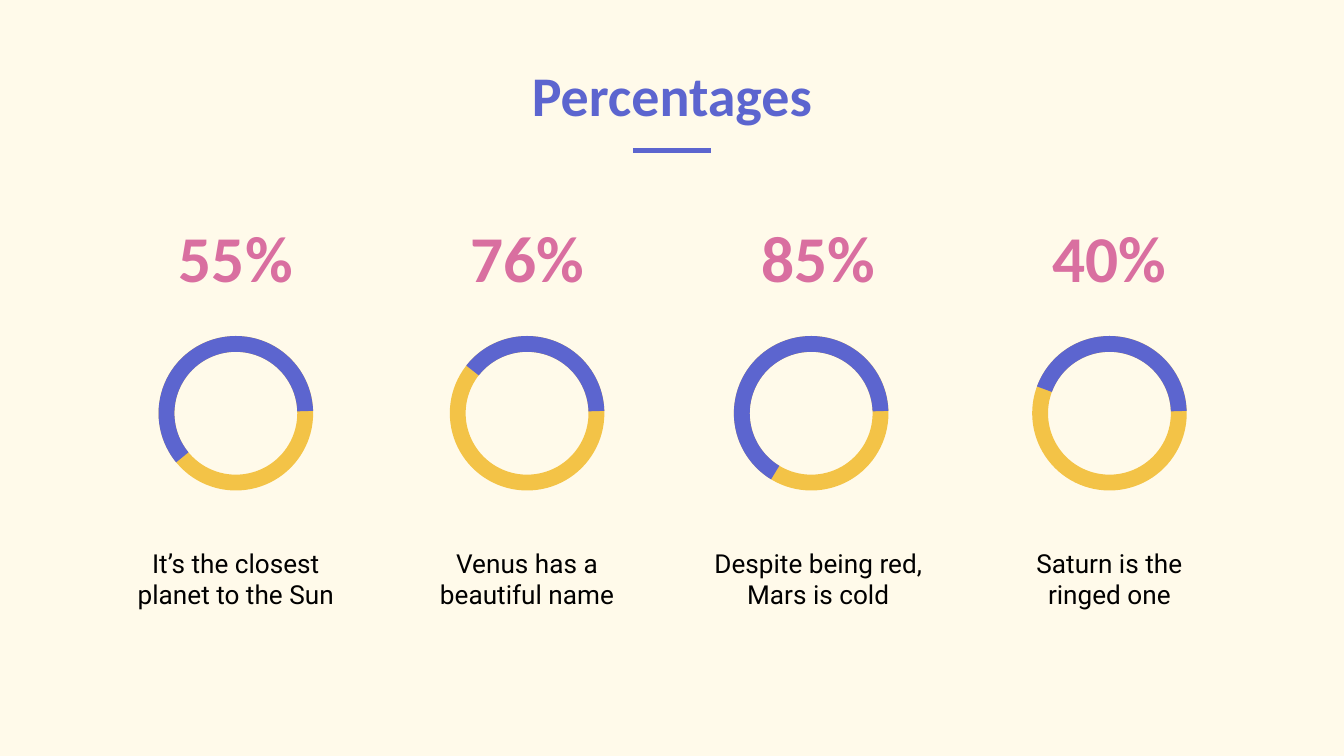
from pptx import Presentation
from pptx.dml.color import RGBColor
from pptx.enum.shapes import MSO_CONNECTOR, MSO_SHAPE
from pptx.enum.text import MSO_ANCHOR, MSO_AUTO_SIZE, PP_ALIGN
from pptx.oxml.ns import qn
from pptx.util import Pt

STRAIGHT = MSO_CONNECTOR.STRAIGHT
DONUT, BLOCK_ARC = MSO_SHAPE.DONUT, MSO_SHAPE.BLOCK_ARC
TOP, BOTTOM = MSO_ANCHOR.TOP, MSO_ANCHOR.BOTTOM
CENTER = PP_ALIGN.CENTER
NO_AUTOFIT = MSO_AUTO_SIZE.NONE

TITLE = "Percentages"
PLANETS = [
    {"percent": "55%", "caption": ["It’s the closest planet to the Sun"],
     "arc_start": 140.56, "ring_shift": 0},
    {"percent": "76%", "caption": ["Venus has a", "beautiful name"],
     "arc_start": 218.1, "ring_shift": 0},
    {"percent": "85%", "caption": ["Despite being red,", "Mars is cold"],
     "arc_start": 121.25, "ring_shift": -3.8},
    {"percent": "40%", "caption": ["Saturn is the", "ringed one"],
     "arc_start": 200.32, "ring_shift": 0},
]

THEME = {
    "background": RGBColor.from_string("FFFAEA"),
    "blue": RGBColor.from_string("5C65CF"),
    "yellow": RGBColor.from_string("F3C347"),
    "title": {"font": "Calibri", "size": 30, "bold": True, "color": "5C65CF"},
    "percent": {"font": "Calibri", "size": 35, "bold": True, "color": "D96FA0"},
    "caption": {"font": "Roboto", "size": 14, "bold": False, "color": "000000"},
}

SLIDE_WIDTH, SLIDE_HEIGHT = 720, 405
MARGIN = 56.16
COLUMN_WIDTH, COLUMN_PITCH = 140.4, 156
TEXT_HEIGHT = 56.16
PERCENT_TOP, RING_TOP, CAPTION_TOP = 109.44, 180, 285.84
RING_SIZE = 82.8
RING_THICKNESS = 0.1025
ARC_END = 358.21
ANGLE_UNIT = 0.6
RULE_WIDTH, RULE_Y = 42, 80.64


def write_text(box, lines, style, anchor):
    frame = box.text_frame
    frame.text = "\n".join(lines)
    frame.word_wrap = True
    frame.auto_size = NO_AUTOFIT
    frame.vertical_anchor = anchor
    frame.margin_left = frame.margin_right = Pt(7.2)
    frame.margin_top = frame.margin_bottom = Pt(7.2)
    for para in frame.paragraphs:
        para.alignment = CENTER
        for span in para.runs:
            span.font.name = style["font"]
            span.font.size = Pt(style["size"])
            span.font.bold = style["bold"]
            span.font.color.rgb = RGBColor.from_string(style["color"])


def add_text(page, left, top, lines, style, anchor):
    box = page.shapes.add_textbox(
        Pt(left), Pt(top), Pt(COLUMN_WIDTH), Pt(TEXT_HEIGHT))
    write_text(box, lines, style, anchor)


def add_ring(page, kind, left, color, adjustments):
    ring = page.shapes.add_shape(
        kind, Pt(left), Pt(RING_TOP), Pt(RING_SIZE), Pt(RING_SIZE))
    ring.shadow.inherit = False
    ring.fill.solid()
    ring.fill.fore_color.rgb = color
    ring.line.fill.background()
    for index, value in enumerate(adjustments):
        ring.adjustments[index] = value


def add_title(page):
    title = page.shapes.title
    title.left, title.top = Pt(MARGIN), Pt(15.84)
    title.width, title.height = Pt(SLIDE_WIDTH - 2 * MARGIN), Pt(59.76)
    write_text(title, [TITLE], THEME["title"], BOTTOM)

    rule_left = (SLIDE_WIDTH - RULE_WIDTH) / 2
    rule = page.shapes.add_connector(
        STRAIGHT, Pt(rule_left), Pt(RULE_Y),
        Pt(rule_left + RULE_WIDTH), Pt(RULE_Y))
    rule.line.color.rgb = THEME["blue"]
    rule.line.width = Pt(3)
    properties = rule.element.spPr
    properties.append(properties.makeelement(qn("a:effectLst"), {}))


def add_planet(page, planet, left):
    add_text(page, left, PERCENT_TOP, [planet["percent"]], THEME["percent"], BOTTOM)
    ring_left = left + (COLUMN_WIDTH - RING_SIZE) / 2 + planet["ring_shift"]
    add_ring(page, DONUT, ring_left, THEME["yellow"], [RING_THICKNESS])
    add_ring(page, BLOCK_ARC, ring_left, THEME["blue"],
             [planet["arc_start"] * ANGLE_UNIT, ARC_END * ANGLE_UNIT, RING_THICKNESS])
    add_text(page, left, CAPTION_TOP, planet["caption"], THEME["caption"], TOP)


def main():
    deck = Presentation()
    deck.slide_width, deck.slide_height = Pt(SLIDE_WIDTH), Pt(SLIDE_HEIGHT)
    page = deck.slides.add_slide(deck.slide_layouts.get_by_name("Title Only"))
    page.background.fill.solid()
    page.background.fill.fore_color.rgb = THEME["background"]
    add_title(page)
    for column, planet in enumerate(PLANETS):
        add_planet(page, planet, MARGIN + column * COLUMN_PITCH)
    deck.save("out.pptx")


if __name__ == "__main__":
    main()
